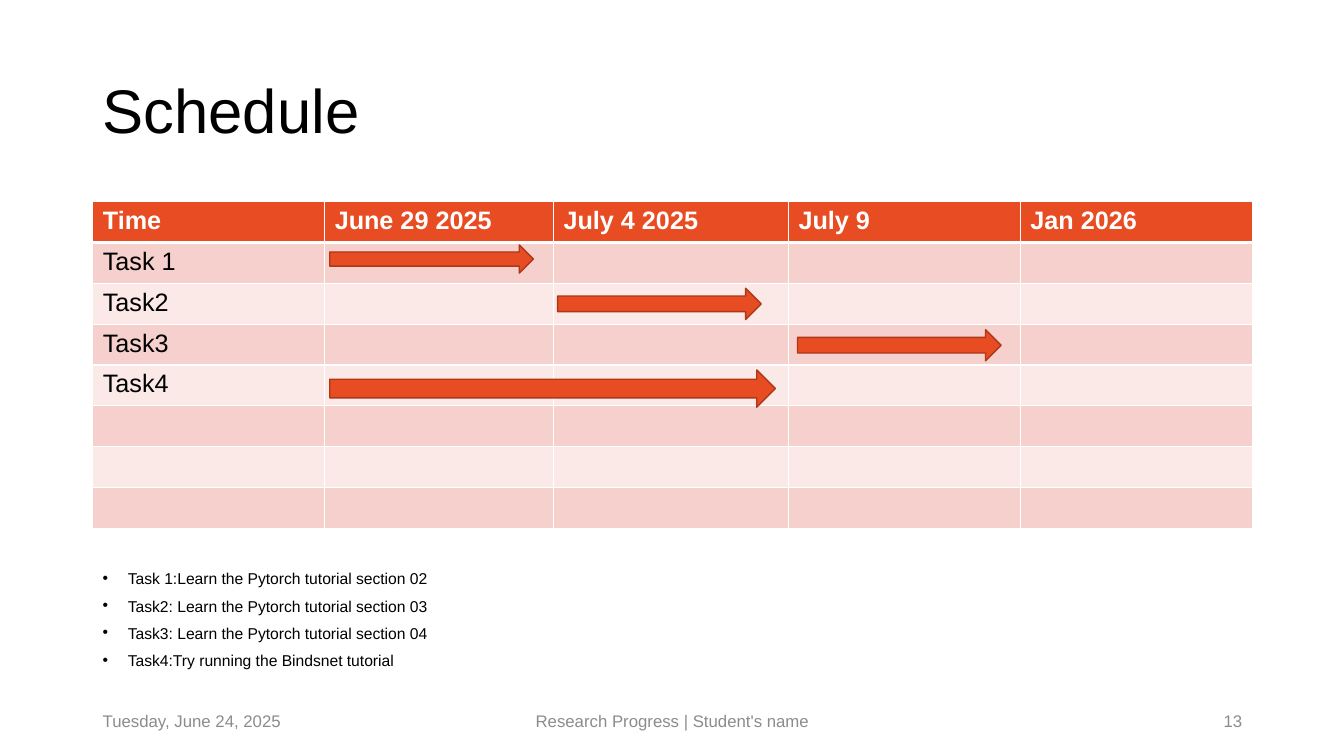
from dataclasses import dataclass

from lxml import etree
from pptx import Presentation, util as u
from pptx.dml.color import RGBColor
from pptx.enum import shapes, text
from pptx.oxml import ns

SCALE = 9144  # EMU per px, 100 px to the inch
FONT = "Arial"
INK = {
    "black": "000000", "white": "FFFFFF", "grey": "8C8C8C",
    "red": "E84C22", "edge": "AC3819", "odd": "F6D0CD", "even": "FBE9E8",
}
ALIGN = text.PP_ALIGN
MID, TOP = text.MSO_ANCHOR.MIDDLE, text.MSO_ANCHOR.TOP


@dataclass
class Label:
    box: tuple[int, int, int, int]
    lines: list[str]
    size: float
    ink: str = "black"
    align: ALIGN = ALIGN.LEFT
    anchor: text.MSO_ANCHOR = MID
    lead: float = 1.0
    gap: int = 0
    dots: bool = False


@dataclass
class Arrow:
    left: int
    top: int
    width: int
    height: int


HEADS = ["Time", "June 29 2025", "July 4 2025", "July 9", "Jan 2026"]
TASKS = ["Task 1", "Task2", "Task3", "Task4", "", "", ""]
WIDTHS = [230, 227, 233, 230, 230]
GRID = (92, 200, sum(WIDTHS), 324)

LABELS = [
    Label((92, 40, 1150, 145), ["Schedule"], 44, lead=0.9),
    Label((92, 565, 1150, 111), [
        "Task 1:Learn the Pytorch tutorial section 02",
        "Task2: Learn the Pytorch tutorial section 03",
        "Task3: Learn the Pytorch tutorial section 04",
        "Task4:Try running the Bindsnet tutorial",
    ], 11.2, anchor=TOP, lead=0.7, gap=10, dots=True),
    Label((92, 695, 300, 40), ["Tuesday, June 24, 2025"], 12, "grey"),
    Label((442, 695, 450, 40), ["Research Progress | Student's name"], 12,
          "grey", ALIGN.CENTER),
    Label((942, 695, 300, 40), ["13"], 12, "grey", ALIGN.RIGHT),
]
ARROWS = [
    Arrow(327, 243, 202, 28),
    Arrow(553, 286, 202, 31),
    Arrow(791, 327, 202, 31),
    Arrow(327, 367, 442, 37),
]


def px(num: int) -> u.Emu:
    return u.Emu(num * SCALE)


def rgb(ink: str) -> RGBColor:
    return RGBColor.from_string(INK[ink])


def write(para, words: str, size: float, ink: str, bold: bool = False) -> None:
    run = para.add_run()
    run.text = words
    run.font.name = FONT
    run.font.size = u.Pt(size)
    run.font.bold = bold
    run.font.color.rgb = rgb(ink)


def add_dot(para) -> None:
    props = para._p.get_or_add_pPr()
    props.set("marL", str(px(25)))
    props.set("indent", str(px(-25)))
    etree.SubElement(props, ns.qn("a:buFont")).set("typeface", FONT)
    etree.SubElement(props, ns.qn("a:buChar")).set("char", "•")


def add_label(slide, label: Label) -> None:
    frame = slide.shapes.add_textbox(*map(px, label.box)).text_frame
    frame.word_wrap = True
    frame.vertical_anchor = label.anchor
    for i, line in enumerate(label.lines):
        para = frame.add_paragraph() if i else frame.paragraphs[0]
        if label.dots:
            add_dot(para)
        para.alignment = label.align
        para.line_spacing = label.lead
        if i:
            para.space_before = u.Pt(label.gap)
        write(para, line, label.size, label.ink)


def add_edges(cell, sides: dict[str, int]) -> None:
    props = cell._tc.get_or_add_tcPr()
    for i, (side, width) in enumerate(sides.items()):
        line = etree.Element(ns.qn(f"a:ln{side}"), w=str(u.Pt(width)))
        fill = etree.SubElement(line, ns.qn("a:solidFill"))
        etree.SubElement(fill, ns.qn("a:srgbClr")).set("val", INK["white"])
        props.insert(i, line)


def add_grid(slide) -> None:
    rows = [HEADS] + [[task] + [""] * (len(HEADS) - 1) for task in TASKS]
    frame = slide.shapes.add_table(len(rows), len(HEADS), *map(px, GRID))
    table = frame.table
    for col, width in zip(table.columns, WIDTHS):
        col.width = px(width)
    for r, row in enumerate(rows):
        table.rows[r].height = px(GRID[3]) // len(rows)
        fill = "red" if r == 0 else "odd" if r % 2 else "even"
        edges = {"L": 1, "R": 1, "T": 3 if r == 1 else 1, "B": 1 if r else 3}
        for c, words in enumerate(row):
            cell = table.cell(r, c)
            cell.fill.solid()
            cell.fill.fore_color.rgb = rgb(fill)
            add_edges(cell, edges)
            if words:
                write(cell.text_frame.paragraphs[0], words, 18,
                      "black" if r else "white", r == 0)


def add_arrow(slide, arrow: Arrow) -> None:
    box = (arrow.left, arrow.top, arrow.width, arrow.height)
    shape = slide.shapes.add_shape(shapes.MSO_SHAPE.RIGHT_ARROW, *map(px, box))
    shape.shadow.inherit = False
    shape.fill.solid()
    shape.fill.fore_color.rgb = rgb("red")
    shape.line.color.rgb = rgb("edge")
    shape.line.width = u.Pt(1)


def main() -> None:
    deck = Presentation()
    deck.slide_width, deck.slide_height = px(1333), px(750)
    slide = deck.slides.add_slide(deck.slide_layouts[6])

    # Timetable
    add_grid(slide)

    # Title, task notes and footer
    for label in LABELS:
        add_label(slide, label)

    # Time spans
    for arrow in ARROWS:
        add_arrow(slide, arrow)

    deck.save("out.pptx")


if __name__ == "__main__":
    main()
